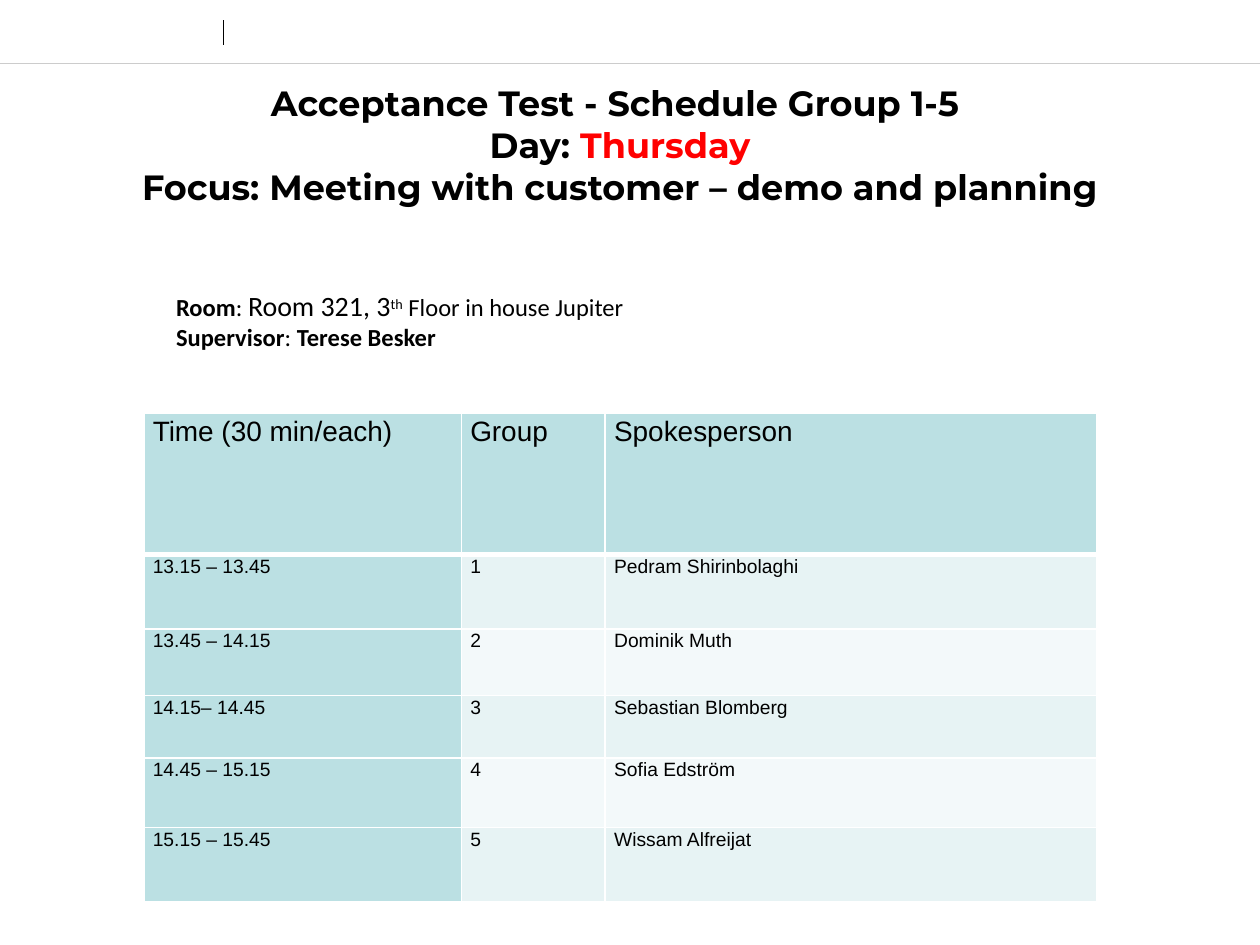
from lxml.etree import SubElement
from pptx import Presentation
from pptx.dml.color import RGBColor
from pptx.enum.shapes import MSO_CONNECTOR
from pptx.enum.text import MSO_ANCHOR, PP_ALIGN
from pptx.oxml.ns import qn
from pptx.util import Cm, Pt


def color(value):
    return RGBColor.from_string(value)


def add_span(para, text, name, size, bold=False, ink="000000"):
    span = para.add_run()
    span.text = text
    for key, value in {"name": name, "size": Pt(size), "bold": bold}.items():
        setattr(span.font, key, value)
    span.font.color.rgb = color(ink)
    return span


deck = Presentation()
deck.slide_width, deck.slide_height = Cm(25.4), Cm(19.05)
page = deck.slides.add_slide(deck.slide_layouts[6])

# Header rules
for x1, y1, x2, y2, ink, width in [
    (0, 1.27, 25.4, 1.27, "CCCCCC", 0.25),
    (4.5, 0.41, 4.5, 0.91, "000000", 0.5),
]:
    rule = page.shapes.add_connector(
        MSO_CONNECTOR.STRAIGHT, Cm(x1), Cm(y1), Cm(x2), Cm(y2))
    rule.line.color.rgb = color(ink)
    rule.line.width = Pt(width)
    SubElement(rule.element.spPr, qn("a:effectLst"))

# Title and room details: each line is a list of (text, size, bold, ink)
title_lines = [
    [("Acceptance Test - Schedule Group 1-5 ", 20, True, "000000")],
    [("Day: ", 20, True, "000000"), ("Thursday", 20, True, "FF0000")],
    [("Focus: Meeting with customer – demo and planning", 20, True, "000000")],
]
room_lines = [
    [("Room", 14, True), (": ", 14), ("Room 321, 3", 16), ("th", 14),
     (" Floor in house Jupiter", 14)],
    [("Supervisor", 14, True), (": ", 14), ("Terese Besker", 14, True)],
]
for place, lines, font, align, anchor in [
    ((-0.2, 1.6, 25.4, 2.62), title_lines, "Montserrat",
     PP_ALIGN.CENTER, MSO_ANCHOR.MIDDLE),
    ((3.3, 5.69, 17.6, 2.31), room_lines, "Calibri",
     PP_ALIGN.LEFT, MSO_ANCHOR.TOP),
]:
    box = page.shapes.add_textbox(*[Cm(length) for length in place])
    frame = box.text_frame
    frame.word_wrap = True
    frame.vertical_anchor = anchor
    for index, line in enumerate(lines):
        para = frame.paragraphs[0] if index == 0 else frame.add_paragraph()
        para.alignment = align
        for text, *style in line:
            span = add_span(para, text, font, *style)
            if text == "th":
                span.font._element.set("baseline", "30000")

# Schedule table
schedule = [
    ("Time (30 min/each)", "Group", "Spokesperson"),
    ("13.15 – 13.45", "1", "Pedram Shirinbolaghi"),
    ("13.45 – 14.15", "2", "Dominik Muth"),
    ("14.15– 14.45", "3", "Sebastian Blomberg"),
    ("14.45 – 15.15", "4", "Sofia Edström"),
    ("15.15 – 15.45", "5", "Wissam Alfreijat"),
]
widths = [6.4, 2.9, 9.9]
heights = [2.84, 1.5, 1.34, 1.26, 1.4, 1.49]
table = page.shapes.add_table(
    len(heights), len(widths), Cm(2.9), Cm(8.34),
    Cm(sum(widths)), Cm(sum(heights))).table
for column, width in zip(table.columns, widths):
    column.width = Cm(width)
for row, height in zip(table.rows, heights):
    row.height = Cm(height)

cell_format = {"margin_left": Cm(0.18), "margin_right": Cm(0.18),
               "margin_top": 0, "margin_bottom": 0,
               "vertical_anchor": MSO_ANCHOR.TOP}
for r, values in enumerate(schedule):
    for c, text in enumerate(values):
        cell = table.cell(r, c)
        for key, value in cell_format.items():
            setattr(cell, key, value)
        # White borders, heavier below the header row
        for side in ("L", "R", "T", "B"):
            points = 3 if r == 0 and side == "B" else 1
            border = SubElement(cell._tc.get_or_add_tcPr(),
                                qn(f"a:ln{side}"), w=str(Pt(points)))
            SubElement(SubElement(border, qn("a:solidFill")),
                       qn("a:srgbClr"), val="FFFFFF")
        # Strong header row and first column, banded body
        band = "E7F3F4" if r % 2 else "F3F9FA"
        cell.fill.solid()
        cell.fill.fore_color.rgb = color("BBE0E3" if r == 0 or c == 0 else band)
        para = cell.text_frame.paragraphs[0]
        para.line_spacing = 1.07
        add_span(para, text, "Arial", 16 if r == 0 else 11)

deck.save("out.pptx")
